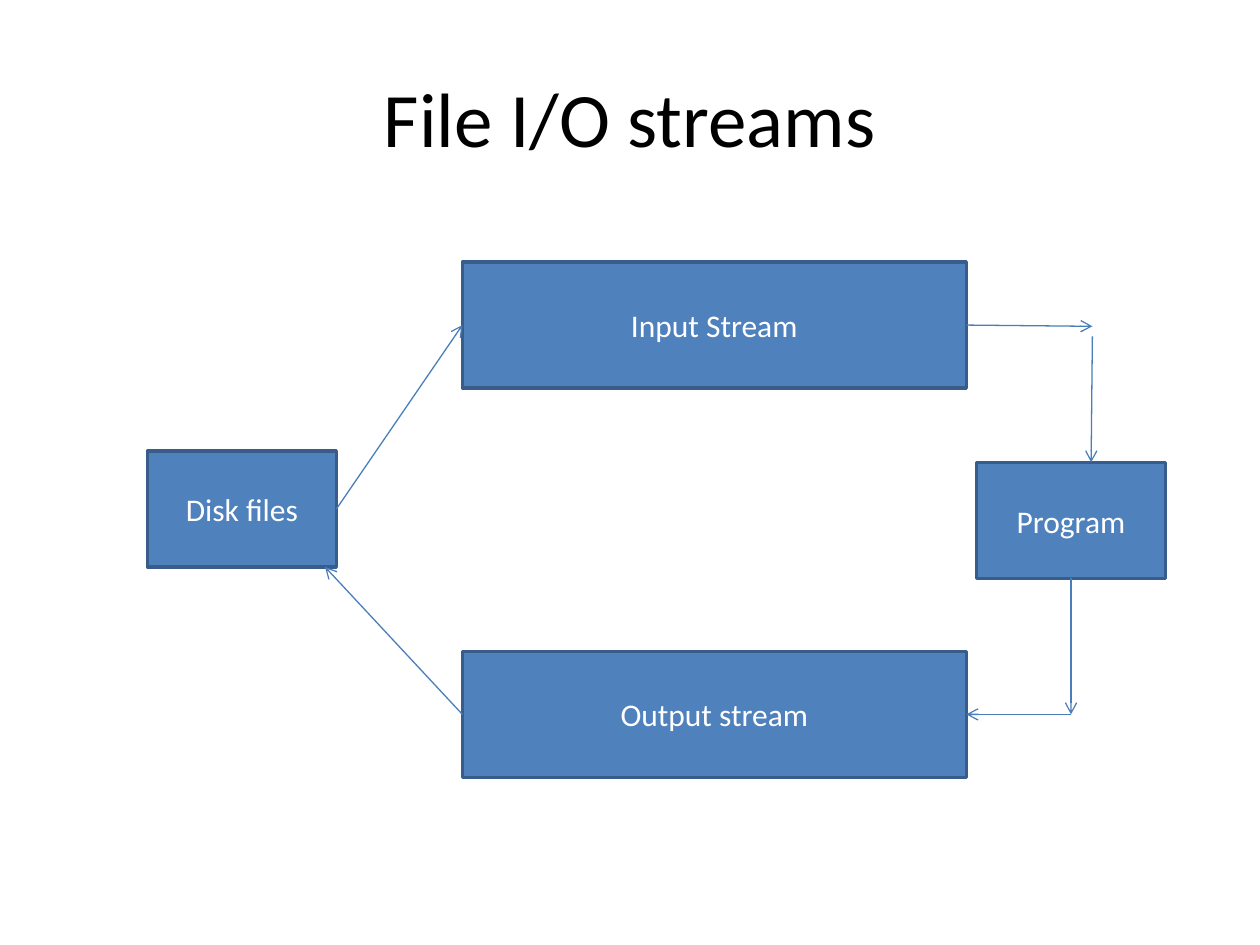
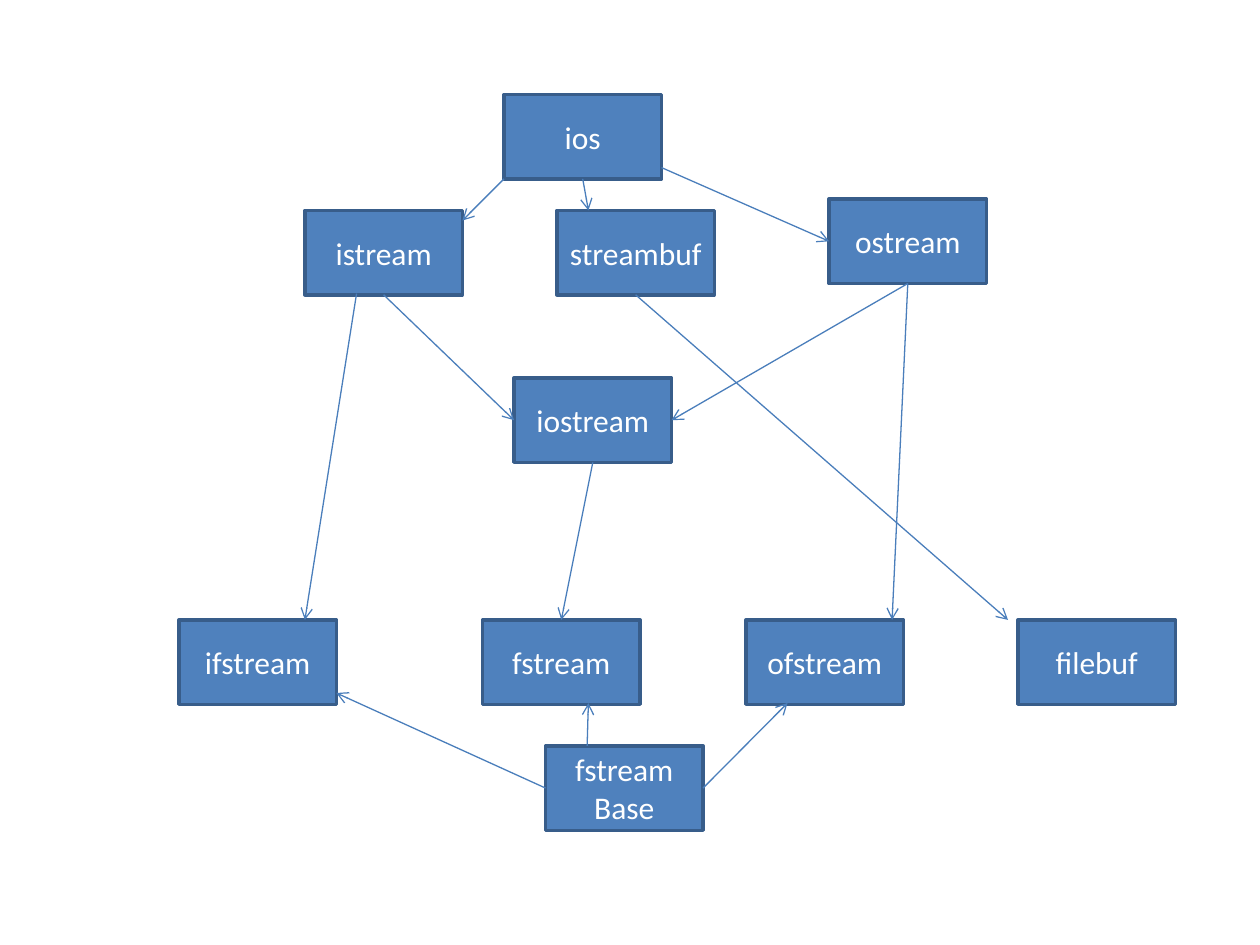
from pptx import Presentation
from pptx.dml.color import RGBColor
from pptx.enum.shapes import MSO_CONNECTOR, MSO_SHAPE
from pptx.enum.text import MSO_ANCHOR, PP_ALIGN
from pptx.oxml.ns import qn
from pptx.util import Inches, Pt
from lxml.etree import SubElement

FONT = "Calibri"
COLOURS = {"title": "000000", "fill": "4F81BD", "border": "385D8A",
           "label": "FFFFFF", "arrow": "4A7EBB"}
TOP, LEFT, BOTTOM, RIGHT = range(4)

END_SIZE = (1.5, 0.92)
STREAM_SIZE = (4, 1)
CLASS_SIZE = (1.25, 0.67)
FILE_ROW = 4.92

FLOW_BOXES = [
    ("Disk files", 1.17, 3.58, END_SIZE),
    ("Input Stream", 3.67, 2.08, STREAM_SIZE),
    ("Output stream", 3.67, 5.17, STREAM_SIZE),
    ("Program", 7.75, 3.67, END_SIZE),
]
FLOW_ARROWS = [
    (("Disk files", RIGHT), ("Input Stream", LEFT)),
    (("Output stream", LEFT), (2.58, 4.5)),
    (("Input Stream", RIGHT), (8.67, 2.59)),
    ((8.67, 2.67), (8.66, 3.67)),
    (("Program", BOTTOM), (8.5, 5.67)),
    ((8.5, 5.67), ("Output stream", RIGHT)),
]

CLASS_BOXES = [
    ("ios", 4, 0.75, CLASS_SIZE),
    ("streambuf", 4.42, 1.67, CLASS_SIZE),
    ("ostream", 6.58, 1.58, CLASS_SIZE),
    ("istream", 2.42, 1.67, CLASS_SIZE),
    ("iostream", 4.08, 3, CLASS_SIZE),
    ("filebuf", 8.08, FILE_ROW, CLASS_SIZE),
    ("ofstream", 5.92, FILE_ROW, CLASS_SIZE),
    ("fstream", 3.83, FILE_ROW, CLASS_SIZE),
    ("ifstream", 1.42, FILE_ROW, CLASS_SIZE),
    ("fstream Base", 4.33, 5.92, CLASS_SIZE),
]
CLASS_ARROWS = [
    (("iostream", BOTTOM), ("fstream", TOP)),
    ((2.83, 2.33), (2.42, FILE_ROW)),
    (("ostream", BOTTOM), (7.08, FILE_ROW)),
    (("ios", BOTTOM), (4.67, 1.67)),
    ((4, 1.42), (3.67, 1.75)),
    ((5.25, 1.33), ("ostream", LEFT)),
    ((4.66, 5.92), (4.67, 5.58)),
    (("streambuf", BOTTOM), (8, FILE_ROW)),
    (("fstream Base", LEFT), (2.67, 5.5)),
    (("fstream Base", RIGHT), (6.25, 5.58)),
    (("istream", BOTTOM), ("iostream", LEFT)),
    (("ostream", BOTTOM), ("iostream", RIGHT)),
]

SLIDES = [
    ("File I/O streams", FLOW_BOXES, FLOW_ARROWS),
    (None, CLASS_BOXES, CLASS_ARROWS),
]


def colour(name):
    return RGBColor.from_string(COLOURS[name])


def write(frame, text, size, colour_name):
    frame.word_wrap = True
    frame.vertical_anchor = MSO_ANCHOR.MIDDLE
    para = frame.paragraphs[0]
    para.alignment = PP_ALIGN.CENTER
    span = para.add_run()
    span.text = text
    span.font.name = FONT
    span.font.size = Pt(size)
    span.font.color.rgb = colour(colour_name)


def add_title(page, text):
    title = page.shapes.title
    title.left, title.top = Inches(0.5), Inches(0.3)
    title.width, title.height = Inches(9), Inches(1.25)
    write(title.text_frame, text, 44, "title")


def add_box(page, label, left, top, size):
    box = page.shapes.add_shape(MSO_SHAPE.RECTANGLE, *map(Inches, (left, top, *size)))
    box.shadow.inherit = False
    box.fill.solid()
    box.fill.fore_color.rgb = colour("fill")
    box.line.color.rgb = colour("border")
    box.line.width = Pt(2)
    write(box.text_frame, label, 18, "label")
    return box


def add_arrow(page, boxes, start, end):
    joined = [point[0] in boxes for point in (start, end)]
    begin_point, end_point = [(0, 0) if join else point
                              for join, point in zip(joined, (start, end))]
    arrow = page.shapes.add_connector(
        MSO_CONNECTOR.STRAIGHT, *map(Inches, (*begin_point, *end_point)))
    if joined[0]:
        arrow.begin_connect(boxes[start[0]], start[1])
    if joined[1]:
        arrow.end_connect(boxes[end[0]], end[1])
    arrow.line.color.rgb = colour("arrow")
    arrow.line.width = Pt(0.75)
    SubElement(arrow.line._get_or_add_ln(), qn("a:tailEnd"), type="arrow")
    SubElement(arrow._element.spPr, qn("a:effectLst"))


def main():
    deck = Presentation()
    deck.slide_width, deck.slide_height = Inches(10), Inches(7.5)
    for title, box_rows, arrow_rows in SLIDES:
        layout = "Title Only" if title else "Blank"
        page = deck.slides.add_slide(deck.slide_layouts.get_by_name(layout))
        if title:
            add_title(page, title)
        boxes = {row[0]: add_box(page, *row) for row in box_rows}
        for start, end in arrow_rows:
            add_arrow(page, boxes, start, end)
    deck.save("out.pptx")


if __name__ == "__main__":
    main()
